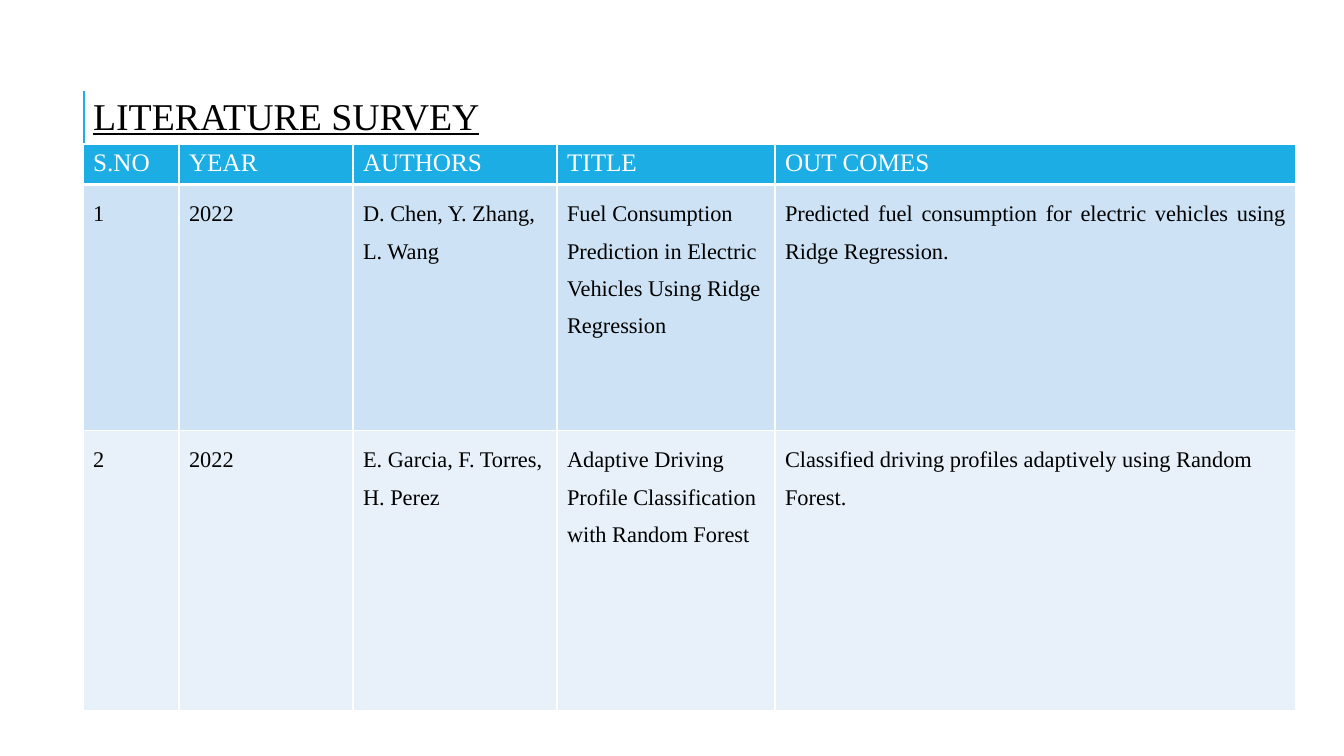
from dataclasses import dataclass

from pptx import Presentation
from pptx.dml.color import RGBColor as RGB
from pptx.enum.shapes import MSO_CONNECTOR as Link
from pptx.enum.text import MSO_ANCHOR as Anchor, MSO_AUTO_SIZE as Fit, PP_ALIGN as Align
from pptx.oxml.ns import qn
from pptx.util import Emu, Pt
from lxml.etree import SubElement

SCALE = 914400 / 100.8  # EMU in one px


@dataclass(frozen=True)
class Theme:
    font: str = "Times New Roman"
    ink: str = "000000"
    paper: str = "FFFFFF"
    accent: str = "1CADE4"
    bands: tuple = ("CDE3F5", "E8F1FA")
    title: int = 27
    head: int = 18
    body: int = 16


@dataclass(frozen=True)
class Column:
    name: str
    width: int
    align: Align = Align.LEFT


@dataclass(frozen=True)
class Paper:
    cells: tuple
    height: int
    last: Align  # alignment of the outcome


THEME = Theme()
HEAD = 37
COLUMNS = (
    Column("S.NO", 96, Align.JUSTIFY),
    Column("YEAR", 174, Align.JUSTIFY),
    Column("AUTHORS", 204),
    Column("TITLE", 218),
    Column("OUT COMES", 521),
)
PAPERS = (
    Paper(("1", "2022", "D. Chen, Y. Zhang, L. Wang",
           "Fuel Consumption Prediction in Electric Vehicles Using Ridge Regression",
           "Predicted fuel consumption for electric vehicles using Ridge Regression."),
          246, Align.JUSTIFY),
    Paper(("2", "2022", "E. Garcia, F. Torres, H. Perez",
           "Adaptive Driving Profile Classification with Random Forest",
           "Classified driving profiles adaptively using Random Forest."),
          280, Align.LEFT),
)


def px(n: int) -> Emu:
    return Emu(round(n * SCALE))


def write(frame, text: str, *, size: int, color: str = THEME.ink,
          align: Align = Align.LEFT, space: float = 1.0, under: bool = False) -> None:
    para = frame.paragraphs[0]
    para.alignment, para.line_spacing = align, space
    run = para.add_run()
    run.text = text
    font = run.font
    font.name, font.size, font.bold = THEME.font, Pt(size), False
    font.underline = under
    font.color.rgb = RGB.from_string(color)


def edge(cell, base: int) -> None:
    """Draw white borders, the bottom one base points wide."""
    props = cell._tc.get_or_add_tcPr()
    for i, (side, width) in enumerate((("L", 1), ("R", 1), ("T", 1), ("B", base))):
        line = props.makeelement(qn(f"a:ln{side}"), {"w": str(Pt(width))})
        fill = SubElement(line, qn("a:solidFill"))
        SubElement(fill, qn("a:srgbClr"), val=THEME.paper)
        props.insert(i, line)


def paint(cell, color: str, base: int = 1) -> None:
    cell.fill.solid()
    cell.fill.fore_color.rgb = RGB.from_string(color)
    edge(cell, base)


def add_title(slide) -> None:
    title = slide.shapes.title
    title.left, title.top, title.width, title.height = map(px, (83, 87, 410, 56))
    frame = title.text_frame
    frame.word_wrap = False
    frame.auto_size = Fit.SHAPE_TO_FIT_TEXT
    frame.vertical_anchor = Anchor.MIDDLE
    write(frame, "LITERATURE SURVEY", size=THEME.title, under=True)


def add_rule(slide) -> None:
    rule = slide.shapes.add_connector(Link.STRAIGHT, px(84), px(192), px(84), px(91))
    rule.line.color.rgb = RGB.from_string(THEME.accent)
    rule.line.width = Pt(1.5)
    SubElement(rule._element.spPr, qn("a:effectLst"))


def add_survey(slide) -> None:
    heights = [HEAD] + [paper.height for paper in PAPERS]
    width = sum(col.width for col in COLUMNS)
    table = slide.shapes.add_table(len(heights), len(COLUMNS), px(83), px(144),
                                   px(width), px(sum(heights))).table
    for row, height in zip(table.rows, heights):
        row.height = px(height)
    for c, col in enumerate(COLUMNS):
        table.columns[c].width = px(col.width)
        head = table.cell(0, c)
        paint(head, THEME.accent, base=3)
        write(head.text_frame, col.name, size=THEME.head, color=THEME.paper)
        for r, paper in enumerate(PAPERS):
            cell = table.cell(r + 1, c)
            paint(cell, THEME.bands[r % 2])
            align = paper.last if col is COLUMNS[-1] else col.align
            write(cell.text_frame, paper.cells[c], size=THEME.body, align=align, space=1.5)


def main() -> None:
    deck = Presentation()
    deck.slide_width, deck.slide_height = px(1344), px(756)
    slide = deck.slides.add_slide(deck.slide_layouts[5])
    add_title(slide)
    add_rule(slide)
    add_survey(slide)
    deck.save("out.pptx")


if __name__ == "__main__":
    main()
